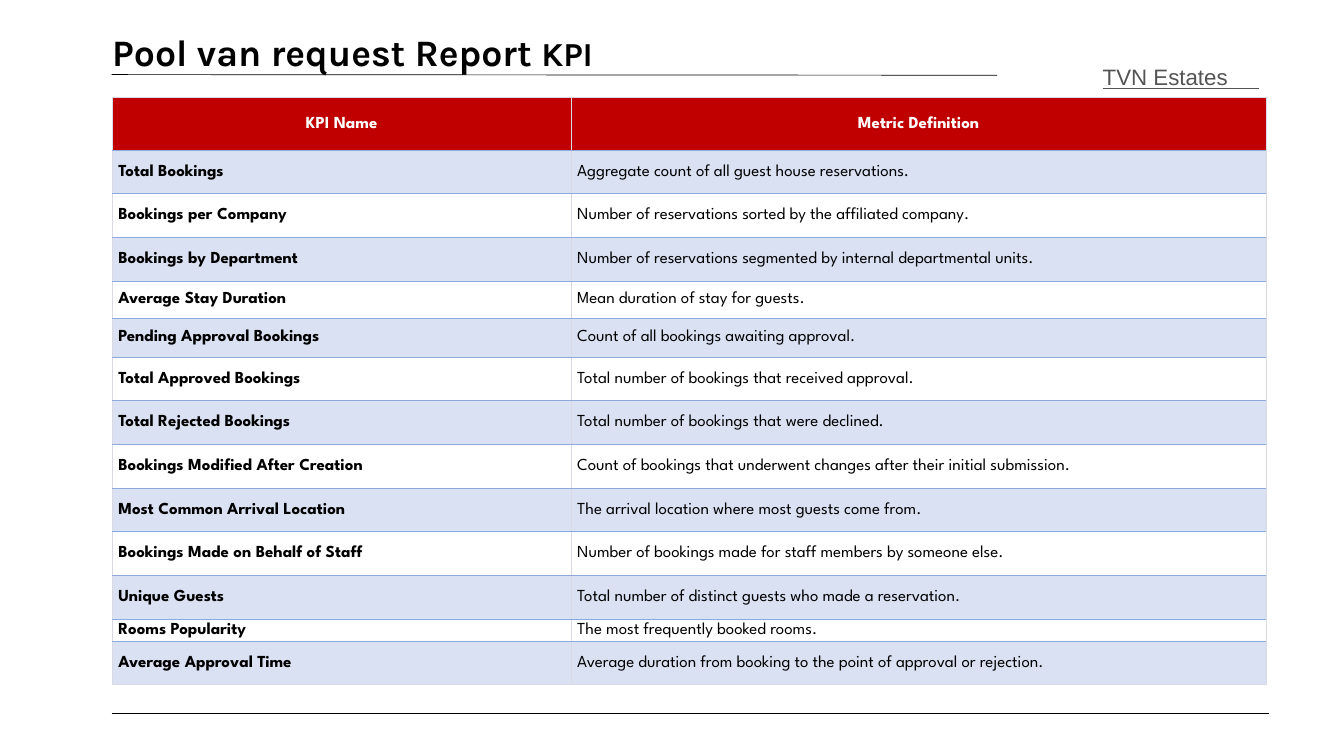
from lxml.etree import SubElement
from pptx import Presentation
from pptx.dml.color import RGBColor
from pptx.enum.shapes import MSO_CONNECTOR
from pptx.enum.text import MSO_ANCHOR, MSO_AUTO_SIZE, PP_ALIGN
from pptx.oxml.ns import qn
from pptx.util import Inches, Pt

BLACK, WHITE, GREY = "000000", "FFFFFF", "545454"
RED, PALE_BLUE = "C00000", "D9E1F2"
OUTER, INNER = ("D9D9E3", 1), ("8EA9DB", 0.5)

HEADINGS = ("KPI Name", "Metric Definition")
KPIS = [  # name, definition, row height in inches
    ("Total Bookings", "Aggregate count of all guest house reservations.", 0.65),
    ("Bookings per Company", "Number of reservations sorted by the affiliated company.", 0.65),
    ("Bookings by Department", "Number of reservations segmented by internal departmental units.", 0.65),
    ("Average Stay Duration", "Mean duration of stay for guests.", 0.55),
    ("Pending Approval Bookings", "Count of all bookings awaiting approval.", 0.58),
    ("Total Approved Bookings", "Total number of bookings that received approval.", 0.65),
    ("Total Rejected Bookings", "Total number of bookings that were declined.", 0.65),
    ("Bookings Modified After Creation",
     "Count of bookings that underwent changes after their initial submission.", 0.65),
    ("Most Common Arrival Location", "The arrival location where most guests come from.", 0.65),
    ("Bookings Made on Behalf of Staff", "Number of bookings made for staff members by someone else.", 0.65),
    ("Unique Guests", "Total number of distinct guests who made a reservation.", 0.65),
    ("Rooms Popularity", "The most frequently booked rooms.", 0.33),
    ("Average Approval Time", "Average duration from booking to the point of approval or rejection.", 0.65),
]


def rgb(value):
    return RGBColor.from_string(value)


def format_span(span, font, size, color, bold=False):
    span.font.name = font
    span.font.size = Pt(size)
    span.font.bold = bold
    span.font.color.rgb = rgb(color)


def set_border(cell, side, color, width):
    """Draw one side of a cell; side is L, R, T or B, in that order."""
    properties = cell._tc.get_or_add_tcPr()
    line = SubElement(properties, qn(f"a:ln{side}"), w=str(Pt(width)))
    fill = SubElement(line, qn("a:solidFill"))
    SubElement(fill, qn("a:srgbClr"), val=color)


class ReportPage:
    """The style of the report and the slide being filled."""

    title_font, table_font, brand_font = "Karla", "League Spartan", "Arial"

    def __init__(self, deck):
        self.page = deck.slides.add_slide(deck.slide_layouts[5])

    def title(self, parts, left, top, width, height):
        """Fill the title from (text, size) parts."""
        box = self.page.shapes.title
        box.left, box.top = Inches(left), Inches(top)
        box.width, box.height = Inches(width), Inches(height)
        frame = box.text_frame
        frame.auto_size = MSO_AUTO_SIZE.NONE
        frame.vertical_anchor = MSO_ANCHOR.TOP
        para = frame.paragraphs[0]
        para.alignment = PP_ALIGN.LEFT
        for text, size in parts:
            span = para.add_run()
            span.text = text
            format_span(span, self.title_font, size, BLACK, bold=True)

    def brand(self, text, left, top, width, height):
        box = self.page.shapes.add_textbox(Inches(left), Inches(top), Inches(width), Inches(height))
        frame = box.text_frame
        frame.word_wrap = True
        frame.margin_left = frame.margin_right = frame.margin_top = frame.margin_bottom = 0
        frame.text = text
        para = frame.paragraphs[0]
        para.line_spacing = Pt(33.5)
        format_span(para.runs[0], self.brand_font, 23.9, GREY)

    def rule(self, x1, y1, x2, y2, color=BLACK, width=0.75):
        line = self.page.shapes.add_connector(
            MSO_CONNECTOR.STRAIGHT, Inches(x1), Inches(y1), Inches(x2), Inches(y2))
        line.line.color.rgb = rgb(color)
        line.line.width = Pt(width)
        SubElement(line._element.spPr, qn("a:effectLst"))

    def cell(self, cell, text, fill, top, bottom, heading, bold):
        for side, border in zip("LRTB", (OUTER, OUTER, top, bottom)):
            set_border(cell, side, *border)
        if fill:
            cell.fill.solid()
            cell.fill.fore_color.rgb = rgb(fill)
        else:
            cell.fill.background()
        cell.vertical_anchor = MSO_ANCHOR.MIDDLE
        cell.margin_left = cell.margin_right = cell.margin_top = Inches(0.01)
        cell.margin_bottom = 0
        cell.text_frame.text = text
        para = cell.text_frame.paragraphs[0]
        if heading:
            para.alignment = PP_ALIGN.CENTER
        else:
            para._p.get_or_add_pPr().set("marL", str(Inches(0.08)))
        format_span(para.runs[0], self.table_font, 18, WHITE if heading else BLACK, bold)

    def kpi_table(self, left, top, column_widths, heading_height):
        heights = [heading_height] + [height for *_, height in KPIS]
        rows = [HEADINGS] + [(name, definition) for name, definition, _ in KPIS]
        frame = self.page.shapes.add_table(
            len(rows), len(column_widths), Inches(left), Inches(top),
            Inches(sum(column_widths)), Inches(sum(heights)))
        table = frame.table
        table.first_row = table.horz_banding = False
        for column, width in zip(table.columns, column_widths):
            column.width = Inches(width)
        last = len(rows) - 1
        for r, (texts, height) in enumerate(zip(rows, heights)):
            table.rows[r].height = Inches(height)
            heading = r == 0
            fill = RED if heading else PALE_BLUE if r % 2 else None
            for c, text in enumerate(texts):
                self.cell(table.cell(r, c), text, fill,
                          top=OUTER if heading else INNER,
                          bottom=OUTER if r == last else INNER,
                          heading=heading, bold=heading or c == 0)


def main():
    deck = Presentation()
    deck.slide_width, deck.slide_height = Inches(20), Inches(11.25)
    report = ReportPage(deck)
    report.rule(1.66, 1.11, 14.84, 1.12)
    report.brand("TVN Estates", 16.41, 0.88, 3.43, 0.44)
    report.rule(16.41, 1.32, 18.74, 1.32, GREY, 1)
    report.title([("Pool van request Report ", 40), ("KPI", 36)], 1.57, 0.39, 17.47, 0.77)
    report.rule(1.66, 10.62, 18.88, 10.62)
    report.kpi_table(1.67, 1.45, (6.83, 10.34), heading_height=0.78)
    deck.save("out.pptx")


if __name__ == "__main__":
    main()
